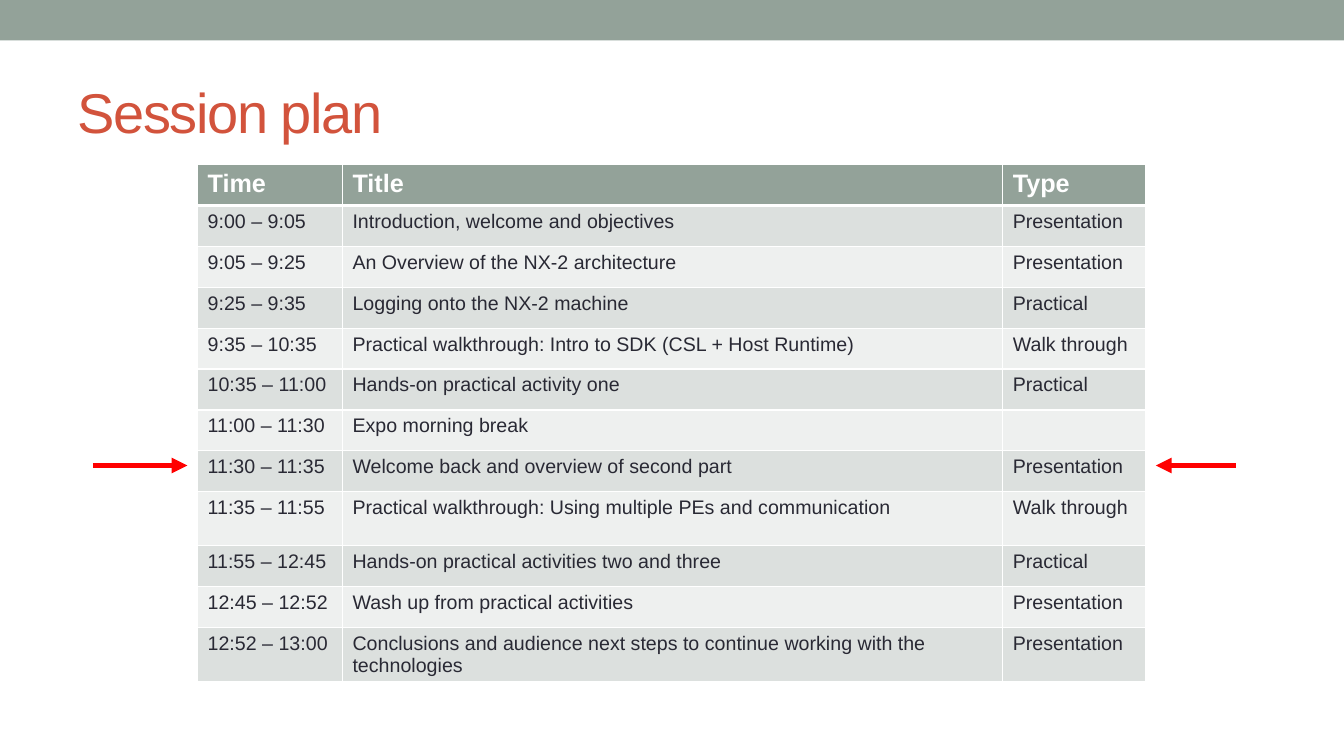
from lxml import etree
from pptx import Presentation
from pptx.dml.color import RGBColor
from pptx.enum.shapes import MSO_CONNECTOR, MSO_SHAPE
from pptx.enum.text import MSO_ANCHOR, MSO_AUTO_SIZE, PP_ALIGN
from pptx.oxml.ns import qn
from pptx.util import Cm, Pt

STRAIGHT = MSO_CONNECTOR.STRAIGHT
RECTANGLE = MSO_SHAPE.RECTANGLE
MIDDLE = MSO_ANCHOR.MIDDLE
NO_AUTOFIT = MSO_AUTO_SIZE.NONE
LEFT = PP_ALIGN.LEFT

FONT = "Arial"
SAGE = RGBColor(0x93, 0xA2, 0x99)
BAND_DARK = RGBColor(0xDC, 0xE0, 0xDE)
BAND_LIGHT = RGBColor(0xEE, 0xF0, 0xEF)
WHITE = RGBColor(0xFF, 0xFF, 0xFF)
INK = RGBColor(0x29, 0x29, 0x34)
RUST = RGBColor(0xD2, 0x53, 0x3C)
RED = RGBColor(0xFF, 0x00, 0x00)

COLUMN_WIDTHS = (Cm(3.65), Cm(16.64), Cm(3.6))
ROW_HEIGHT = Cm(1.03)
TALL_ROW_HEIGHT = Cm(1.36)
TALL_ROWS = (8, 11)

SESSIONS = [
    ("Time", "Title", "Type"),
    ("9:00 – 9:05", "Introduction, welcome and objectives", "Presentation"),
    ("9:05 – 9:25", "An Overview of the NX-2 architecture", "Presentation"),
    ("9:25 – 9:35", "Logging onto the NX-2 machine", "Practical"),
    ("9:35 – 10:35", "Practical walkthrough: Intro to SDK (CSL + Host Runtime)", "Walk through"),
    ("10:35 – 11:00", "Hands-on practical activity one", "Practical"),
    ("11:00 – 11:30", "Expo morning break", ""),
    ("11:30 – 11:35", "Welcome back and overview of second part", "Presentation"),
    ("11:35 – 11:55", "Practical walkthrough: Using multiple PEs and communication", "Walk through"),
    ("11:55 – 12:45", "Hands-on practical activities two and three", "Practical"),
    ("12:45 – 12:52", "Wash up from practical activities", "Presentation"),
    ("12:52 – 13:00",
     "Conclusions and audience next steps to continue working with the technologies",
     "Presentation"),
]


def set_font(p, size, color, bold=False):
    p.font.name = FONT
    p.font.size = Pt(size)
    p.font.color.rgb = color
    p.font.bold = bold


def add_top_band(slide, width):
    sp = slide.shapes.add_shape(RECTANGLE, 0, 0, width, Cm(1.02))
    sp.shadow.inherit = False
    sp.fill.solid()
    sp.fill.fore_color.rgb = SAGE
    sp.line.fill.background()


def format_title(slide, text):
    title = slide.shapes.title
    title.left, title.top, title.width, title.height = Cm(1.7), Cm(1.47), Cm(30.48), Cm(2.64)
    tf = title.text_frame
    tf.text = text
    tf.auto_size = NO_AUTOFIT
    tf.vertical_anchor = MIDDLE
    p = tf.paragraphs[0]
    p.alignment = LEFT
    set_font(p, 40, RUST)
    p.runs[0].font._element.set("spc", "-100")


def add_border(cell, side, width):
    """Draw a white line on one side (L, R, T or B); call before filling the cell."""
    ln = etree.SubElement(cell._tc.get_or_add_tcPr(), qn(f"a:ln{side}"), w=str(Pt(width)))
    fill = etree.SubElement(ln, qn("a:solidFill"))
    etree.SubElement(fill, qn("a:srgbClr"), val=str(WHITE))


def format_cell(cell, text, row):
    is_header = row == 0
    for side in "LRTB":
        thick = (is_header and side == "B") or (row == 1 and side == "T")
        add_border(cell, side, 3 if thick else 1)
    cell.fill.solid()
    if is_header:
        cell.fill.fore_color.rgb = SAGE
    else:
        cell.fill.fore_color.rgb = BAND_DARK if row % 2 else BAND_LIGHT
    cell.text = text
    p = cell.text_frame.paragraphs[0]
    if is_header:
        set_font(p, 18, WHITE, bold=True)
    else:
        set_font(p, 14, INK)


def add_session_table(slide):
    heights = [TALL_ROW_HEIGHT if i in TALL_ROWS else ROW_HEIGHT for i in range(len(SESSIONS))]
    frame = slide.shapes.add_table(len(SESSIONS), len(COLUMN_WIDTHS), Cm(4.98), Cm(4.15),
                                   sum(COLUMN_WIDTHS), sum(heights))
    table = frame.table
    for column, width in zip(table.columns, COLUMN_WIDTHS):
        column.width = width
    for i, (session, height) in enumerate(zip(SESSIONS, heights)):
        table.rows[i].height = height
        for j, text in enumerate(session):
            format_cell(table.cell(i, j), text, i)


def add_arrow(slide, x_from, x_to, y):
    arrow = slide.shapes.add_connector(STRAIGHT, x_from, y, x_to, y)
    arrow.line.color.rgb = RED
    arrow.line.width = Pt(3.75)
    etree.SubElement(arrow.line._get_or_add_ln(), qn("a:tailEnd"), type="triangle")
    etree.SubElement(arrow._element.spPr, qn("a:effectLst"))


def main():
    prs = Presentation()
    prs.slide_width, prs.slide_height = Cm(33.87), Cm(19.05)
    slide = prs.slides.add_slide(prs.slide_layouts[5])
    add_top_band(slide, prs.slide_width)
    format_title(slide, "Session plan")
    add_session_table(slide)
    current_session_y = Cm(11.73)
    add_arrow(slide, Cm(31.14), Cm(29.13), current_session_y)
    add_arrow(slide, Cm(2.34), Cm(4.72), current_session_y)
    prs.save("out.pptx")


if __name__ == "__main__":
    main()
